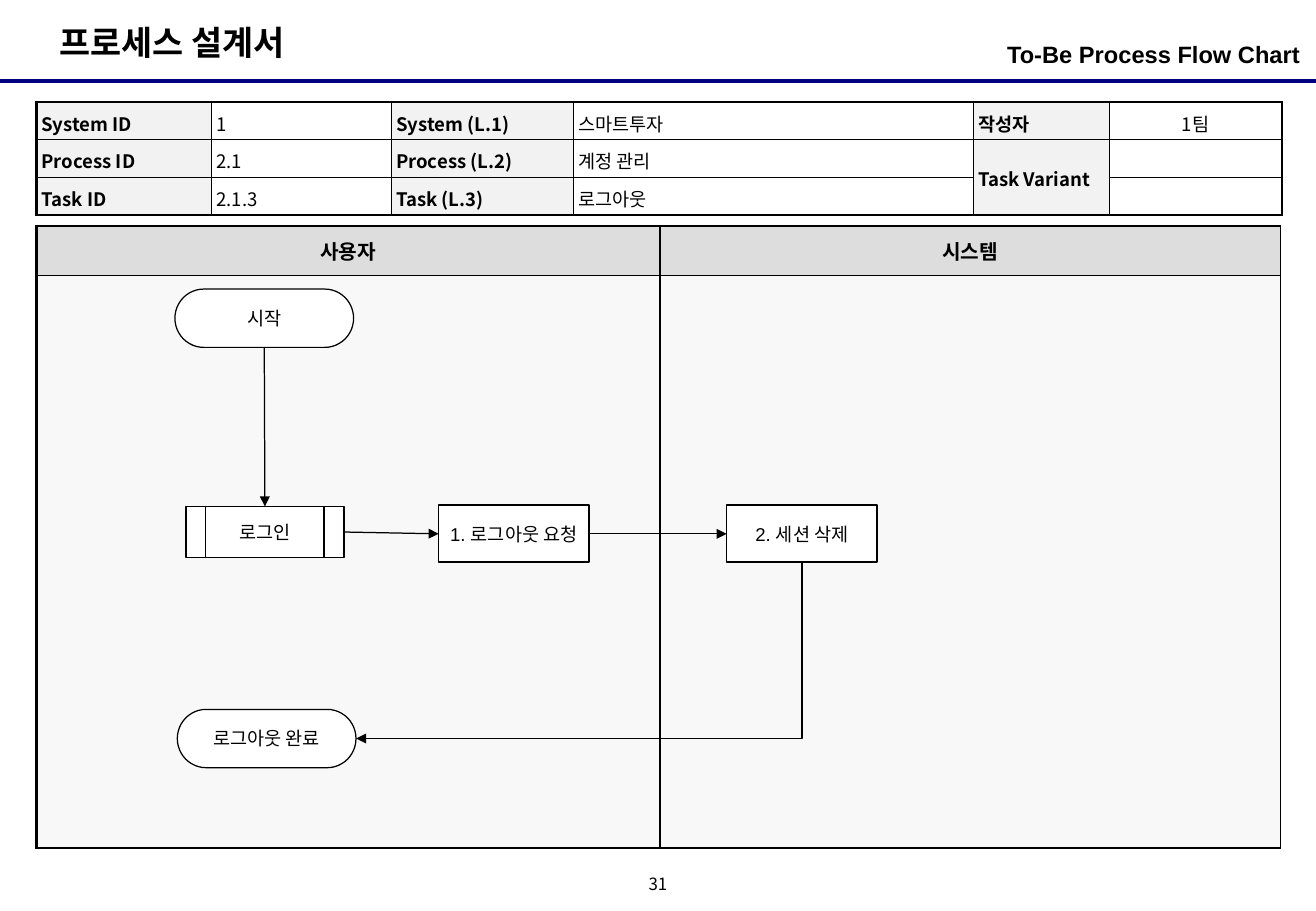
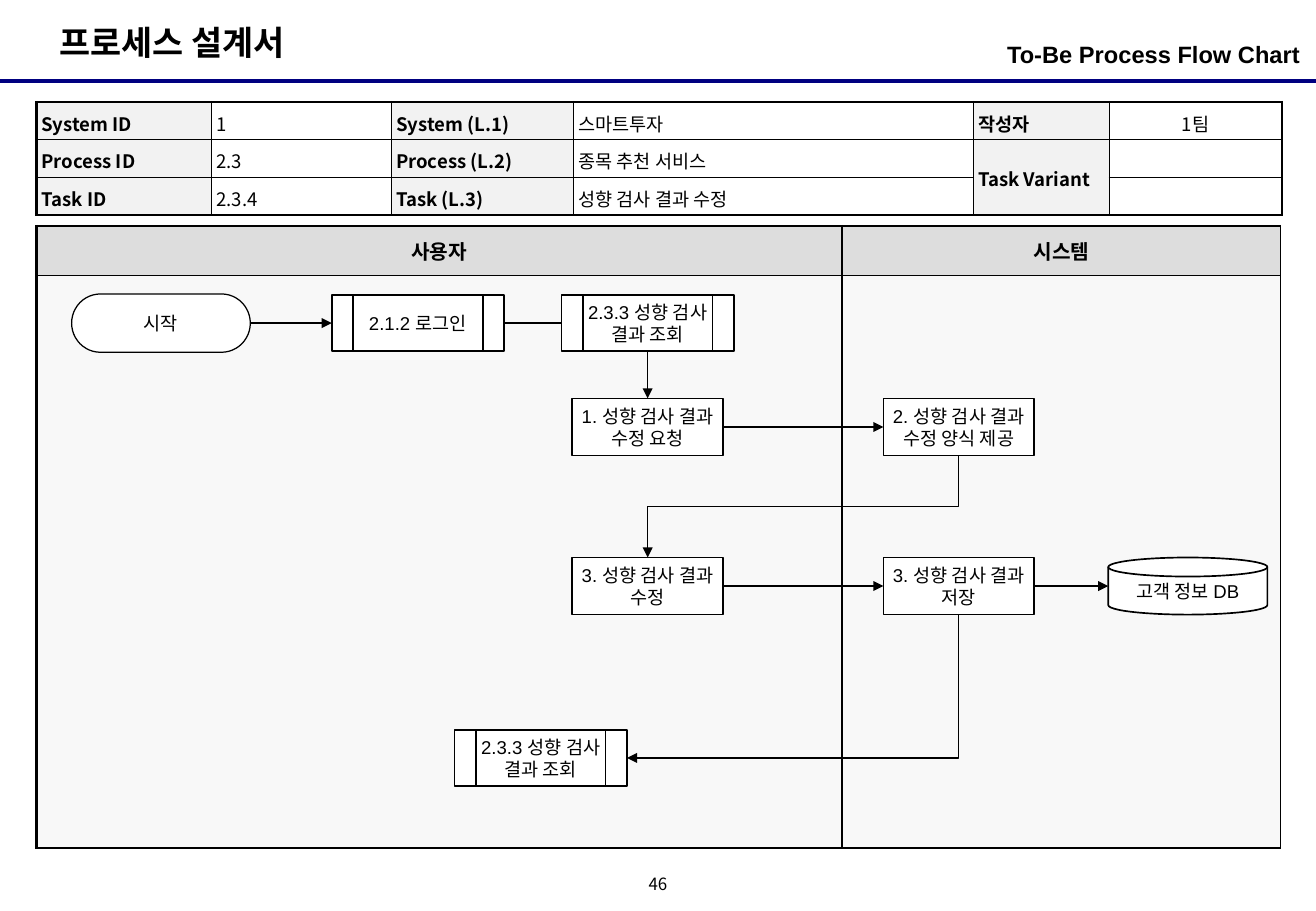
from typing import NamedTuple

from lxml import etree
from pptx import Presentation
from pptx.dml.color import RGBColor
from pptx.enum.shapes import MSO_CONNECTOR, MSO_SHAPE
from pptx.enum.text import MSO_ANCHOR, PP_ALIGN
from pptx.oxml.ns import qn
from pptx.util import Inches, Pt

BLACK = RGBColor(0x00, 0x00, 0x00)
WHITE = RGBColor(0xFF, 0xFF, 0xFF)
NAVY = RGBColor(0x00, 0x00, 0x80)
LABEL = RGBColor(0xF2, 0xF2, 0xF2)
HEAD = RGBColor(0xDD, 0xDD, 0xDD)
LANE = RGBColor(0xF8, 0xF8, 0xF8)

LATIN = "Arial"
NOTO = "Noto Sans CJK KR"
LEFT, MID, RIGHT = PP_ALIGN.LEFT, PP_ALIGN.CENTER, PP_ALIGN.RIGHT
HIGH, CENTER = MSO_ANCHOR.TOP, MSO_ANCHOR.MIDDLE
LINE, ELBOW = MSO_CONNECTOR.STRAIGHT, MSO_CONNECTOR.ELBOW
DISK = MSO_SHAPE.FLOWCHART_MAGNETIC_DISK
CALL = MSO_SHAPE.FLOWCHART_PREDEFINED_PROCESS
N, W, S, E = range(4)

WIDE = 10.83
EDGE = 0.3
SPAN = 10.24
INFO_COLS = (1.44, 1.48, 1.5, 3.29, 1.12, 1.42)
INFO_ROWS = (0.31,) * 3
LANE_ROWS = (0.41, 4.71)


class Kind(NamedTuple):
    form: int
    wide: float
    high: float
    line: float
    side: float
    pad: float


STOP = Kind(MSO_SHAPE.FLOWCHART_TERMINATOR, 1.47, 0.48, 0.75, 0.1, 0.1)
STEP = Kind(MSO_SHAPE.RECTANGLE, 1.24, 0.47, 1, 0.02, 0)
TASK = Kind(CALL, 1.42, 0.46, 1, 0.02, 0)
LOGIN = Kind(CALL, 1.3, 0.42, 1, 0.02, 0)
STORE = Kind(DISK, 1.31, 0.47, 1, 0.04, 0)


def write(frame, text, size, align=LEFT, bold=False, face=LATIN, space=None):
    frame.text = text
    para = frame.paragraphs[0]
    para.alignment = align
    if space:
        para.line_spacing = space
    for run in para.runs:
        font = run.font
        font.size = Pt(size)
        font.bold = bold
        font.name = face
        font.color.rgb = BLACK
        etree.SubElement(run._r.rPr, qn("a:ea"), typeface=NOTO)
    if not text:
        etree.SubElement(para._p, qn("a:endParaRPr"), sz=str(size * 100))


def inset(item, side, pad):
    item.margin_left = item.margin_right = Inches(side)
    item.margin_top = item.margin_bottom = Inches(pad)


def label(slide, box, text, size, side, pad, anchor=HIGH, **style):
    frame = slide.shapes.add_textbox(*map(Inches, box)).text_frame
    frame.word_wrap = True
    frame.vertical_anchor = anchor
    inset(frame, side, pad)
    write(frame, text, size, **style)


def border(cell, widths):
    props = cell._tc.get_or_add_tcPr()
    for spot, (side, width) in enumerate(zip("LRTB", widths)):
        line = etree.Element(qn(f"a:ln{side}"), w=str(Pt(width)))
        fill = etree.SubElement(line, qn("a:solidFill"))
        etree.SubElement(fill, qn("a:srgbClr"), val=str(BLACK))
        props.insert(spot, line)


def grid(slide, top, cols, rows):
    size = map(Inches, (EDGE, top, SPAN, sum(rows)))
    table = slide.shapes.add_table(len(rows), len(cols), *size).table
    table.first_row = table.horz_banding = False
    for col, width in zip(table.columns, cols):
        col.width = Inches(width)
    for row, height in zip(table.rows, rows):
        row.height = Inches(height)
    return table


def paint(cell, color):
    cell.fill.solid()
    cell.fill.fore_color.rgb = color


def add_info(slide, codes, names):
    table = grid(slide, 0.84, INFO_COLS, INFO_ROWS)
    levels = ("System", "Process", "Task")
    extras = (("작성자", "1팀"), ("Task Variant", ""), ("", ""))
    for r, level in enumerate(levels):
        texts = (f"{level} ID", codes[r], f"{level} (L.{r + 1})", names[r])
        for c, text in enumerate(texts + extras[r]):
            cell = table.cell(r, c)
            key = c % 2 == 0
            paint(cell, LABEL if key else WHITE)
            inset(cell, 0.04, 0.04)
            cell.vertical_anchor = CENTER if c > 3 else HIGH
            write(cell.text_frame, text, 11, MID if c == 5 else LEFT, key, NOTO, 1.1)
            outer = (c == 0, c == 5, r == 0, r == 2)
            border(cell, [1.5 if out else 1 for out in outer])
    table.cell(1, 4).merge(table.cell(2, 4))


def add_lanes(slide, split):
    table = grid(slide, 1.86, (split, SPAN - split), LANE_ROWS)
    for c, name in enumerate(("사용자", "시스템")):
        right = 0.75 if c else 1.5
        for r, (text, color) in enumerate(((name, HEAD), ("", LANE))):
            cell = table.cell(r, c)
            paint(cell, color)
            cell.vertical_anchor = CENTER
            write(cell.text_frame, text, 12, MID, True)
            border(cell, (1.5, right, 0.75 if r else 1.5, 1.5 if r else 0.75))


def node(slide, kind, left, top, text):
    size = map(Inches, (left, top, kind.wide, kind.high))
    shape = slide.shapes.add_shape(kind.form, *size)
    shape.shadow.inherit = False
    paint(shape, WHITE)
    shape.line.color.rgb = BLACK
    shape.line.width = Pt(kind.line)
    frame = shape.text_frame
    frame.word_wrap = True
    frame.vertical_anchor = CENTER
    inset(frame, kind.side, kind.pad)
    write(frame, text, 11, MID)
    return shape


def stroke(slide, form, ends, color, width):
    wire = slide.shapes.add_connector(form, *map(Inches, ends))
    wire.line.color.rgb = color
    wire.line.width = Pt(width)
    etree.SubElement(wire._element.spPr, qn("a:effectLst"))
    return wire


def link(slide, start, out, end, into, form=LINE, tip=True):
    wire = stroke(slide, form, (0, 0, 1, 1), BLACK, 0.75)
    wire.begin_connect(start, out)
    wire.end_connect(end, into)
    if end.auto_shape_type == DISK:
        wire._element.find(".//" + qn("a:endCxn")).set("idx", "2")
    if tip:
        line = wire._element.spPr.find(qn("a:ln"))
        etree.SubElement(line, qn("a:tailEnd"), type="triangle")
    return wire


def bend(slide, start, end, into):
    wire = link(slide, start, S, end, into, ELBOW)
    wide = wire.end_y - wire.begin_y
    high = wire.begin_x - wire.end_x
    left = (wire.begin_x + wire.end_x - wide) // 2
    top = (wire.begin_y + wire.end_y - high) // 2
    wire.left, wire.top, wire.width, wire.height = left, top, wide, high
    props = wire._element.spPr
    frame = props.find(qn("a:xfrm"))
    for flip in ("flipH", "flipV"):
        frame.attrib.pop(flip, None)
    frame.set("rot", "5400000")
    if into == E:
        props.find(qn("a:prstGeom")).set("prst", "bentConnector2")


def add_page(deck, number, split, codes, names):
    slide = deck.slides.add_slide(deck.slide_layouts[6])
    stroke(slide, LINE, (0, 0.67, WIDE, 0.67), NAVY, 2.25)
    label(slide, (0.39, 0.13, 2.26, 0.44), "프로세스 설계서", 20, 0.1, 0.05, bold=True)
    label(slide, (7.39, 0.28, 3.31, 0.39), "To-Be Process Flow Chart", 14, 0, 0.05,
          align=RIGHT, bold=True)
    label(slide, (5.25, 7.17, 0.33, 0.25), number, 10, 0, 0, CENTER,
          align=MID, face=NOTO, space=0.8)
    add_lanes(slide, split)
    add_info(slide, codes, names)
    return slide


def draw_logout(deck):
    slide = add_page(deck, "31", 5.13, ("1", "2.1", "2.1.3"),
                     ("스마트투자", "계정 관리", "로그아웃"))
    start = node(slide, STOP, 1.44, 2.38, "시작")
    login = node(slide, LOGIN, 1.53, 4.17, "로그인")
    ask = node(slide, STEP, 3.61, 4.16, "1. 로그아웃 요청")
    clear = node(slide, STEP, 5.98, 4.16, "2. 세션 삭제")
    done = node(slide, STOP, 1.46, 5.84, "로그아웃 완료")
    link(slide, start, S, login, N)
    link(slide, login, E, ask, W)
    link(slide, ask, E, clear, W)
    bend(slide, clear, done, E)


def draw_edit(deck):
    slide = add_page(deck, "46", 6.63, ("1", "2.3", "2.3.4"),
                     ("스마트투자", "종목 추천 서비스", "성향 검사 결과 수정"))
    user, system = 4.71, 7.27
    upper, lower = 3.28, 4.59
    start = node(slide, STOP, 0.59, 2.42, "시작")
    login = node(slide, TASK, 2.73, 2.43, "2.1.2 로그인")
    view = node(slide, TASK, 4.62, 2.43, "2.3.3 성향 검사 결과 조회")
    ask = node(slide, STEP, user, upper, "1. 성향 검사 결과 수정 요청")
    form = node(slide, STEP, system, upper, "2. 성향 검사 결과 수정 양식 제공")
    edit = node(slide, STEP, user, lower, "3. 성향 검사 결과 수정")
    save = node(slide, STEP, system, lower, "3. 성향 검사 결과 저장")
    store = node(slide, STORE, 9.12, lower, "고객 정보 DB")
    result = node(slide, TASK, 3.74, 6.01, "2.3.3 성향 검사 결과 조회")
    link(slide, start, E, login, W)
    link(slide, login, E, view, W, tip=False)
    link(slide, view, S, ask, N)
    link(slide, ask, E, form, W)
    bend(slide, form, edit, N)
    link(slide, edit, E, save, W)
    link(slide, save, E, store, W)
    bend(slide, save, result, E)


def main():
    deck = Presentation()
    deck.slide_width = Inches(WIDE)
    deck.slide_height = Inches(7.5)
    draw_logout(deck)
    draw_edit(deck)
    deck.save("out.pptx")


if __name__ == "__main__":
    main()
